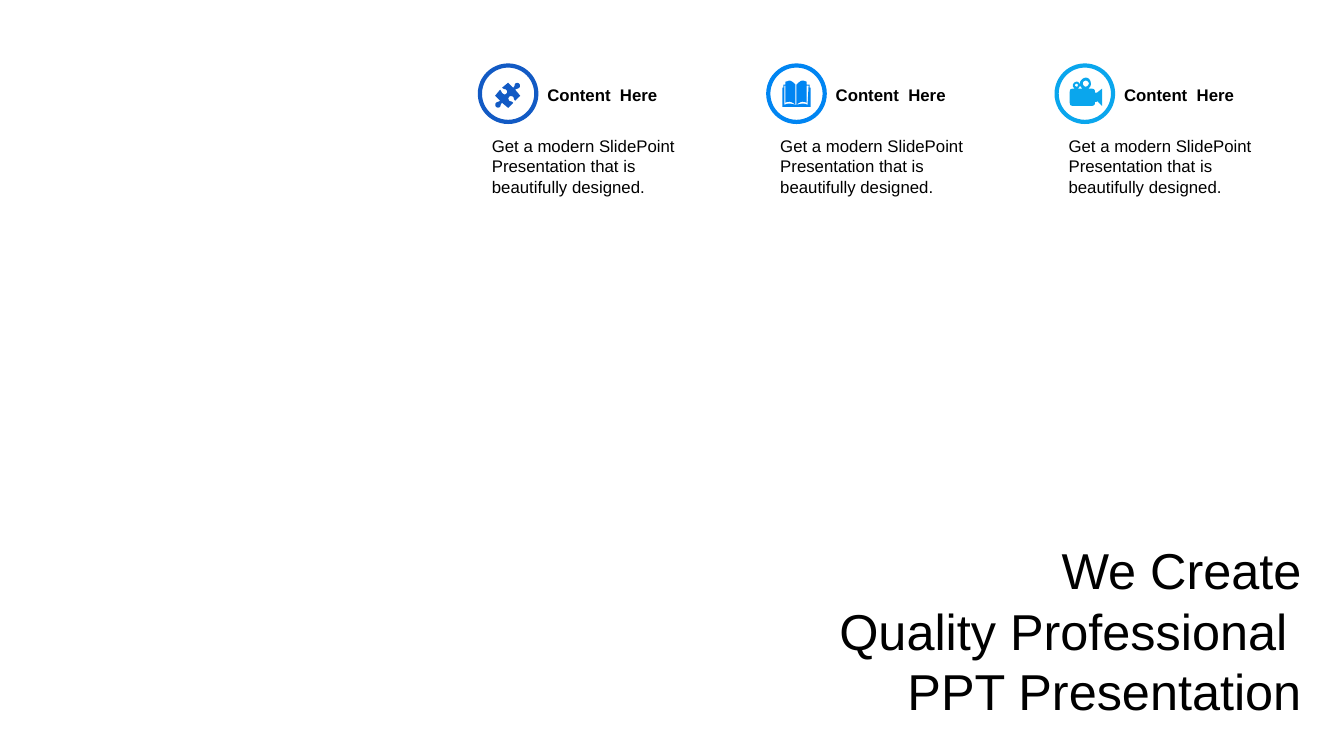
from pptx import Presentation
from pptx.dml.color import RGBColor
from pptx.enum.shapes import MSO_SHAPE as Shape
from pptx.enum.text import MSO_ANCHOR as Anchor, MSO_AUTO_SIZE as Fit, PP_ALIGN as Align
from pptx.util import Inches, Pt

# Icon outlines in hundredths of an inch from the ring's top left corner:
# M moves, L draws a line, C draws a cubic curve.
PUZZLE = """M 39 18 C 40 19 40 21 39 22 C 38 23 36 23 35 24 L 40 30 L 35 35
C 33 33 34 32 33 31 C 31 30 30 30 29 31 C 28 32 28 33 29 35 C 31 36 31 35 33 37
L 28 42 L 22 37 C 20 39 21 39 20 41 C 19 42 17 42 16 41 C 15 40 15 38 16 37
C 17 36 19 36 20 35 L 15 30 L 20 24 C 22 26 21 27 23 28 C 24 29 25 29 26 28
C 27 27 28 26 26 24 C 25 23 24 24 22 22 L 28 17 L 33 22 C 35 20 34 20 35 18
C 36 17 38 17 39 18"""
BOOK = """M 27 39 L 28 39 C 33 38 35 37 39 39 L 40 20 L 38 20 L 38 37
C 35 35 31 36 28 39 L 28 19 C 30 17 32 15 34 15 C 36 15 37 16 38 16 L 38 19
L 41 19 L 41 22 L 42 22 L 42 41 L 14 41 L 14 22 L 15 22 L 15 19 L 17 19 L 17 16
C 19 16 20 15 21 15 C 23 15 25 17 27 19 L 27 39 C 24 36 20 35 17 37 L 17 20
L 16 20 L 16 39 C 20 37 23 38 27 39"""
CAMERA = """M 20 18 C 19 18 18 19 18 20 C 18 20 19 21 20 21 C 21 21 21 20 21 20
C 21 19 21 18 20 18
M 29 15 C 27 15 26 16 26 18 C 26 19 27 21 29 21 C 30 21 32 19 32 18
C 32 16 30 15 29 15
M 29 12 C 32 12 34 15 34 18 C 34 20 33 22 31 23 L 35 23 C 37 23 38 24 38 26
L 38 27 L 39 27 L 40 27 L 45 23 L 45 40 L 40 35 C 40 36 40 36 39 36 L 38 36
L 38 37 C 38 39 37 40 35 40 L 16 40 C 14 40 13 39 13 37 L 13 26
C 13 24 14 23 16 23 L 18 23 C 17 22 16 21 16 20 C 16 18 18 16 20 16
C 22 16 23 18 23 20 C 23 21 22 22 21 23 L 26 23 C 24 22 23 20 23 18
C 23 15 26 12 29 12"""

color = RGBColor.from_string


def trace(outline):
    """Return one list of points per closed contour, with curves sampled."""
    loops = []
    for part in outline.replace("M", "|M").replace("L", "|L").replace("C", "|C").split("|")[1:]:
        nums = [float(n) / 100 for n in part[1:].split()]
        ends = list(zip(nums[::2], nums[1::2]))
        if part[0] == "M":
            loops.append(ends)
        elif part[0] == "L":
            loops[-1] += ends
        else:
            curve = [loops[-1][-1]] + ends
            for t in (0.2, 0.4, 0.6, 0.8, 1):
                mix = ((1 - t) ** 3, 3 * t * (1 - t) ** 2, 3 * t * t * (1 - t), t ** 3)
                loops[-1].append(tuple(
                    sum(m * p[axis] for m, p in zip(mix, curve)) for axis in (0, 1)))
    return loops


def style(frame, size, bold=False):
    frame.word_wrap = True
    for para in frame.paragraphs:
        for run in para.runs:
            run.font.name = "Arial"
            run.font.size = Pt(size)
            run.font.bold = bold
            run.font.color.rgb = color("000000")


deck = Presentation()
deck.slide_width, deck.slide_height = Inches(13.33), Inches(7.5)
slide = deck.slides.add_slide(deck.slide_layouts[5])
shapes = slide.shapes

title = shapes.title
title.left, title.top = Inches(7.03), Inches(5.34)
title.width, title.height = Inches(5.92), Inches(1.82)
frame = title.text_frame
frame.text = "We Create\nQuality Professional \nPPT Presentation"
frame.auto_size = Fit.NONE
frame.vertical_anchor = Anchor.MIDDLE
frame.margin_left = frame.margin_right = Inches(0.04)
frame.margin_top = frame.margin_bottom = 0
for para in frame.paragraphs:
    para.alignment = Align.RIGHT
style(frame, 36)

TOP, STEP = 0.65, 2.86
items = [("125AC4", PUZZLE), ("0085F2", BOOK), ("0AA6ED", CAMERA)]
for i, (tint, outline) in enumerate(items):
    left = 4.76 + i * STEP

    ring = shapes.add_shape(Shape.OVAL, Inches(left), Inches(TOP), Inches(0.56), Inches(0.56))
    ring.shadow.inherit = False
    ring.fill.background()
    ring.line.color.rgb = color(tint)
    ring.line.width = Pt(3)

    loops = [[(Inches(left + x), Inches(TOP + y)) for x, y in loop] for loop in trace(outline)]
    pen = shapes.build_freeform(*loops[0][0])
    for n, loop in enumerate(loops):
        if n:
            pen.move_to(*loop[0])
        pen.add_line_segments(loop[1:], close=True)
    icon = pen.convert_to_shape()
    icon.shadow.inherit = False
    icon.fill.solid()
    icon.fill.fore_color.rgb = color(tint)
    icon.line.fill.background()

    head = shapes.add_textbox(Inches(left + 0.57), Inches(0.79), Inches(1.46), Inches(0.3))
    head.text_frame.text = "Content  Here"
    style(head.text_frame, 12, True)

    body = shapes.add_textbox(Inches(left + 0.02), Inches(1.3), Inches(2.21), Inches(0.71))
    body.text_frame.text = "Get a modern SlidePoint Presentation that is beautifully designed."
    style(body.text_frame, 12)

deck.save("out.pptx")
